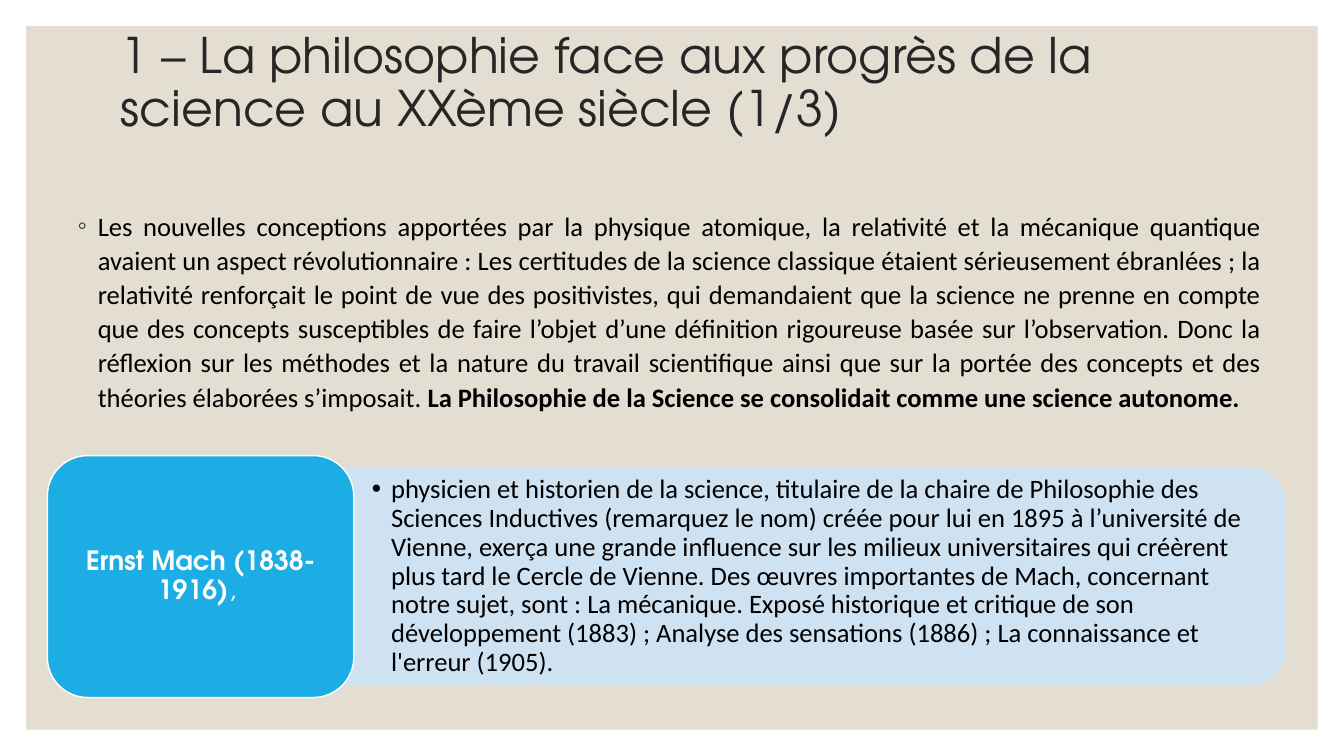
from lxml import etree
from pptx import Presentation
from pptx.dml.color import RGBColor
from pptx.enum.shapes import MSO_SHAPE
from pptx.enum.text import MSO_ANCHOR, MSO_AUTO_SIZE, PP_ALIGN
from pptx.oxml.ns import qn
from pptx.util import Pt

LEFT, CENTER, JUSTIFY = PP_ALIGN.LEFT, PP_ALIGN.CENTER, PP_ALIGN.JUSTIFY
TOP, MIDDLE = MSO_ANCHOR.TOP, MSO_ANCHOR.MIDDLE
RECT, ROUND_RECT = MSO_SHAPE.RECTANGLE, MSO_SHAPE.ROUNDED_RECTANGLE
ROUND_TOP = MSO_SHAPE.ROUND_2_SAME_RECTANGLE

# Content: each text is a list of (words, bold)
TITLE = [("1 – La philosophie face aux progrès de la science au XXème siècle (1/3)", False)]
BODY = [
    ("Les nouvelles conceptions apportées par la physique atomique, la relativité et la "
     "mécanique quantique avaient un aspect révolutionnaire : Les certitudes de la science "
     "classique étaient sérieusement ébranlées ; la relativité renforçait le point de vue "
     "des positivistes, qui demandaient que la science ne prenne en compte que des concepts "
     "susceptibles de faire l’objet d’une définition rigoureuse basée sur l’observation. "
     "Donc la réflexion sur les méthodes et la nature du travail scientifique ainsi que sur "
     "la portée des concepts et des théories élaborées s’imposait. ", False),
    ("La Philosophie de la Science se consolidait comme une science autonome. ", True),
]
NAME = [("Ernst Mach (1838-1916)", True), (", ", False)]
PROFILE = [
    ("physicien et historien de la science, titulaire de la chaire de Philosophie des "
     "Sciences Inductives (remarquez le nom) créée pour lui en 1895 à l’université de "
     "Vienne, exerça une grande influence sur les milieux universitaires qui créèrent plus "
     "tard le Cercle de Vienne. Des œuvres importantes de Mach, concernant notre sujet, "
     "sont : La mécanique. Exposé historique et critique de son développement (1883) ; "
     "Analyse des sensations (1886) ; La connaissance et l'erreur (1905).", False),
]

THEME = {
    "sand": "E3DED1", "blue": "1CADE4", "pale": "CDE3F5",
    "white": "FFFFFF", "ink": "262626", "black": "000000",
    "head_font": "TeX Gyre Adventor", "text_font": "Calibri", "bullet_font": "Arial",
    "title_size": 35, "text_size": 19,
}

# Layout, in points: left, top, width, height
SLIDE_W, SLIDE_H, MARGIN = 960, 540, 18.72
TITLE_BOX = (79.2, 5.76, 792, 108)
BODY_BOX = (48.24, 144.72, 859.68, 169.2)
NAME_BOX = (33.84, 325.44, 218.88, 172.8)
PANEL_BOX = (246.24, 334.44, 671.76, 154.8)
PROFILE_BOX = (246.24, 342, 664.56, 139.68)


def rgb(name):
    return RGBColor.from_string(THEME[name])


def place(shape, box):
    shape.left, shape.top, shape.width, shape.height = map(Pt, box)


def set_alpha(color_parent, percent):
    color = next(color_parent.iter(qn("a:srgbClr")))
    etree.SubElement(color, qn("a:alpha"), val=str(percent * 1000))


def add_block(s, kind, box, fill, line=None):
    shape = s.shapes.add_shape(kind, *map(Pt, box))
    shape.shadow.inherit = False
    shape.fill.solid()
    shape.fill.fore_color.rgb = rgb(fill)
    if line:
        shape.line.color.rgb = rgb(line)
        shape.line.width = Pt(1)
    else:
        shape.line.fill.background()
    return shape


def add_bullet(p, char, color, indent):
    pPr = p._p.get_or_add_pPr()
    pPr.set("marL", str(Pt(indent)))
    pPr.set("indent", str(-Pt(indent)))
    clr = etree.SubElement(pPr, qn("a:buClr"))
    etree.SubElement(clr, qn("a:srgbClr"), val=THEME[color])
    etree.SubElement(pPr, qn("a:buFont"), typeface=THEME["bullet_font"])
    etree.SubElement(pPr, qn("a:buChar"), char=char)


def write(shape, text, font="text_font", size="text_size", color="black", align=LEFT,
          anchor=MIDDLE, spacing=0.9, insets=(7.2, 3.6), bullet=None):
    tf = shape.text_frame
    tf.word_wrap = True
    tf.auto_size = MSO_AUTO_SIZE.NONE
    tf.vertical_anchor = anchor
    tf.margin_left = tf.margin_right = Pt(insets[0])
    tf.margin_top = tf.margin_bottom = Pt(insets[1])
    p = tf.paragraphs[0]
    if bullet:
        add_bullet(p, *bullet)
    p.alignment = align
    p.line_spacing = spacing
    p.space_before = Pt(0)
    for words, bold in text:
        r = p.add_run()
        r.text = words
        r.font.name = THEME[font]
        r.font.size = Pt(THEME[size])
        r.font.bold = bold
        r.font.color.rgb = rgb(color)


def main():
    prs = Presentation()
    prs.slide_width, prs.slide_height = Pt(SLIDE_W), Pt(SLIDE_H)
    s = prs.slides.add_slide(prs.slide_layouts[1])
    title, body = s.shapes.title, s.placeholders[1]

    # Sand background, behind the placeholders
    frame = add_block(s, RECT, (MARGIN, MARGIN, SLIDE_W - 2 * MARGIN, SLIDE_H - 2 * MARGIN),
                      "sand")
    title.element.addprevious(frame.element)

    # Title and main paragraph
    place(title, TITLE_BOX)
    write(title, TITLE, font="head_font", size="title_size", color="ink")
    place(body, BODY_BOX)
    write(body, BODY, align=JUSTIFY, anchor=TOP, spacing=1.07, bullet=("◦", "ink", 14.4))

    # Pale panel: a shape with rounded top, turned to the right about its centre
    left, top, width, height = PANEL_BOX
    shift = (width - height) / 2
    panel = add_block(s, ROUND_TOP, (left + shift, top - shift, height, width), "pale", "pale")
    panel.rotation = 90
    for color_parent in panel.element.spPr.findall(".//" + qn("a:solidFill")):
        set_alpha(color_parent, 90)
    profile = s.shapes.add_textbox(*map(Pt, PROFILE_BOX))
    write(profile, PROFILE, insets=(19.44, 10.08), bullet=("•", "black", 13.68))

    # Name card
    card = add_block(s, ROUND_RECT, NAME_BOX, "blue", "white")
    write(card, NAME, font="head_font", color="white", align=CENTER, insets=(5.76, 2.88))

    prs.save("out.pptx")


if __name__ == "__main__":
    main()
